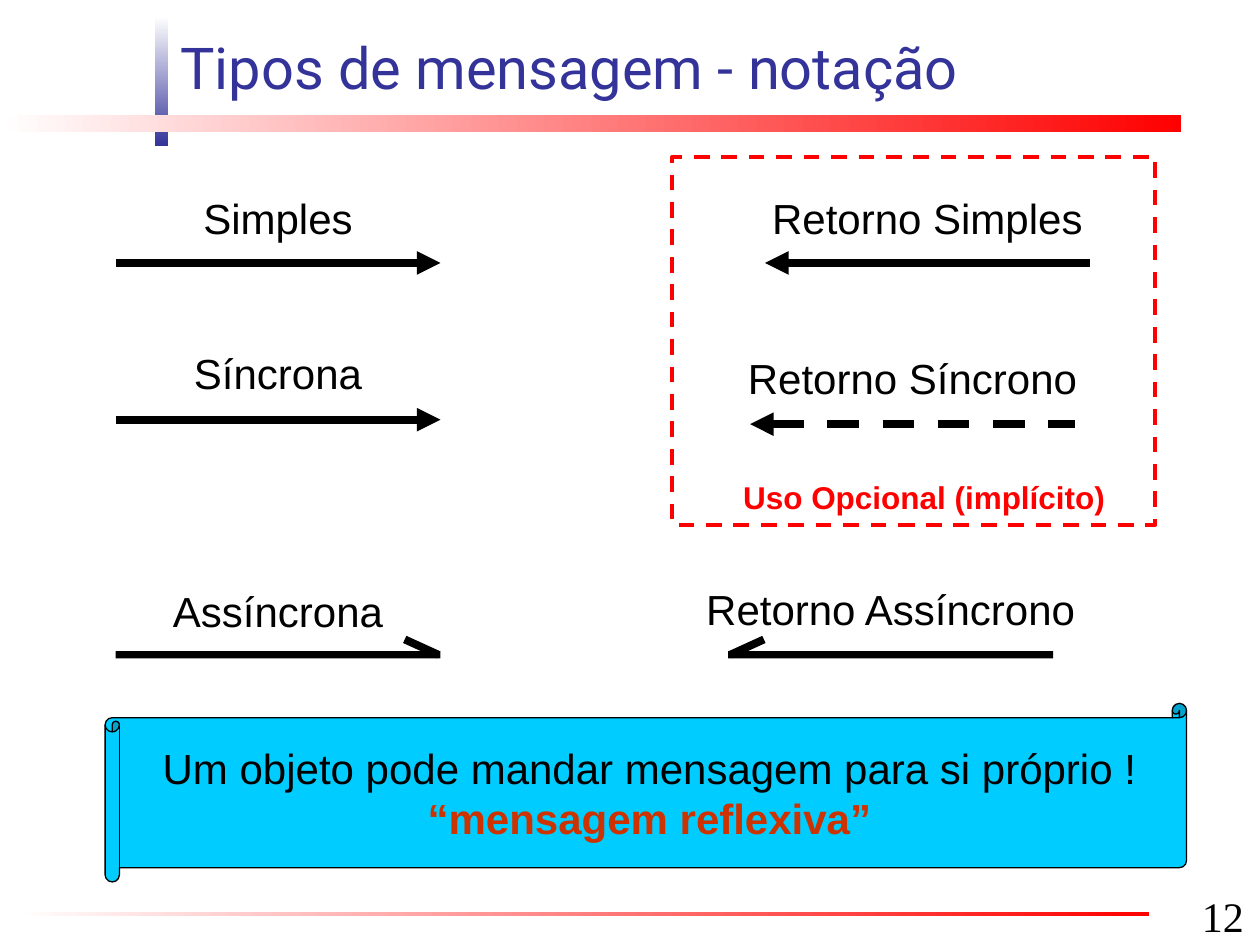
from dataclasses import dataclass

from lxml import etree
from pptx import Presentation, util as u
from pptx.dml.color import RGBColor
from pptx.enum import dml, shapes, text
from pptx.oxml.ns import qn

Cm, Pt = u.Cm, u.Pt
LENGTH = 6.55
BLACK, RED, BLUE, WHITE = "000000", "FF0000", "333399", "FFFFFF"


@dataclass
class Message:
    """A labelled arrow: left end and height of its line, then its label."""
    label: str
    x: float
    y: float
    label_top: float
    label_width: float
    returns: bool = False
    dashed: bool = False
    half_head: bool = False


MESSAGES = [
    Message("Simples", 2.33, 5.3, 3.76, 3.7),
    Message("Síncrona", 2.33, 8.46, 6.88, 4.1),
    Message("Assíncrona", 2.33, 13.2, 11.67, 4.9, half_head=True),
    Message("Retorno Simples", 15.42, 5.3, 3.76, 6.95, returns=True),
    Message("Retorno Síncrono", 15.12, 8.55, 6.99, 7.35, returns=True, dashed=True),
    Message("Retorno Assíncrono", 14.68, 13.2, 11.63, 8.2, returns=True, half_head=True),
]


def rgb(color: str) -> RGBColor:
    return RGBColor.from_string(color)


def style(p, size: float, color: str, font: str = "Arial", bold: bool = False) -> None:
    p.font.name, p.font.size, p.font.bold = font, Pt(size), bold
    p.font.color.rgb = rgb(color)


def add_shape(s, kind, x: float, y: float, w: float, h: float):
    """Add a shape without shadow or outline."""
    sp = s.shapes.add_shape(kind, Cm(x), Cm(y), Cm(w), Cm(h))
    sp.shadow.inherit = False
    sp.line.fill.background()
    return sp


def add_bar(s, x: float, y: float, w: float, h: float, color: str, angle: int = 0) -> None:
    """Add a bar that fades from white to the colour."""
    fill = add_shape(s, shapes.MSO_SHAPE.RECTANGLE, x, y, w, h).fill
    fill.gradient()
    fill.gradient_angle = angle
    for stop, stop_color in zip(fill.gradient_stops, (WHITE, color)):
        stop.color.rgb = rgb(stop_color)


def add_text(s, words: str, x: float, y: float, w: float, h: float, size: float,
             color: str = BLACK, font: str = "Arial", bold: bool = False,
             align=text.PP_ALIGN.LEFT, anchor=text.MSO_ANCHOR.TOP, wrap: bool = True) -> None:
    tf = s.shapes.add_textbox(Cm(x), Cm(y), Cm(w), Cm(h)).text_frame
    tf.word_wrap, tf.vertical_anchor = wrap, anchor
    p = tf.paragraphs[0]
    p.text, p.alignment = words, align
    style(p, size, color, font, bold)


def add_line(s, x1: float, y1: float, x2: float, y2: float):
    line = s.shapes.add_connector(shapes.MSO_CONNECTOR.STRAIGHT, Cm(x1), Cm(y1), Cm(x2), Cm(y2))
    line.line.color.rgb = rgb(BLACK)
    line.line.width = Pt(4.5)
    etree.SubElement(line._element.spPr, qn("a:effectLst"))
    return line


def add_half_arrow(s, m: Message) -> None:
    """Add a bar with a single barb above its tip."""
    thick = 0.15
    bar = add_shape(s, shapes.MSO_SHAPE.RECTANGLE, m.x, m.y - thick / 2, LENGTH, thick)
    bar.fill.solid()
    bar.fill.fore_color.rgb = rgb(BLACK)
    tip, back = (m.x, 1) if m.returns else (m.x + LENGTH, -1)
    add_line(s, tip + back * 0.72, m.y - 0.31, tip + back * 0.04, m.y)


def add_arrow(s, m: Message) -> None:
    line = add_line(s, m.x, m.y, m.x + LENGTH, m.y)
    if m.dashed:
        line.line.dash_style = dml.MSO_LINE.DASH
    end = "a:headEnd" if m.returns else "a:tailEnd"
    etree.SubElement(line.line._get_or_add_ln(), qn(end), type="triangle")


def add_message(s, m: Message) -> None:
    (add_half_arrow if m.half_head else add_arrow)(s, m)
    left = m.x + (LENGTH - m.label_width) / 2
    add_text(s, m.label, left, m.label_top, m.label_width, 1.27, 24,
             align=text.PP_ALIGN.CENTER, wrap=False)


def add_optional_frame(s) -> None:
    frame = add_shape(s, shapes.MSO_SHAPE.RECTANGLE, 13.55, 3.17, 9.74, 7.41)
    frame.fill.background()
    frame.line.color.rgb = rgb(RED)
    frame.line.width = Pt(2.25)
    frame.line.dash_style = dml.MSO_LINE.DASH
    add_text(s, "Uso Opcional (implícito)", 14.73, 9.52, 8.2, 1.02, 18, RED, bold=True,
             wrap=True)


def add_scroll(s) -> None:
    sp = add_shape(s, shapes.MSO_SHAPE.HORIZONTAL_SCROLL, 2.12, 14.18, 21.8, 3.6)
    sp.adjustments[0] = 0.08
    sp.fill.solid()
    sp.fill.fore_color.rgb = rgb("00CCFF")
    sp.line.color.rgb = rgb(BLACK)
    sp.line.width = Pt(0.75)
    tf = sp.text_frame
    tf.word_wrap, tf.vertical_anchor = False, text.MSO_ANCHOR.MIDDLE
    tf.text = "Um objeto pode mandar mensagem para si próprio !\n“mensagem reflexiva”"
    for p, color, bold in zip(tf.paragraphs, (BLACK, "CC3300"), (False, True)):
        p.alignment = text.PP_ALIGN.CENTER
        style(p, 24, color, bold=bold)


def main() -> None:
    prs = Presentation()
    prs.slide_width, prs.slide_height = Cm(25.4), Cm(19.05)
    s = prs.slides.add_slide(prs.slide_layouts[6])
    add_bar(s, 3.12, 0.33, 0.26, 2.62, BLUE, angle=270)
    add_bar(s, 0, 2.32, 23.81, 0.35, RED)
    add_bar(s, 0.3, 18.39, 22.86, 0.08, RED)
    bottom = text.MSO_ANCHOR.BOTTOM
    add_text(s, "12", 23.98, 17.82, 2.11, 1.27, 24, font="Times New Roman", anchor=bottom)
    add_text(s, "Tipos de mensagem - notação", 3.39, 0.45, 22.01, 1.72, 33, BLUE,
             font="Roboto", anchor=bottom)
    for message in MESSAGES:
        add_message(s, message)
    add_optional_frame(s)
    add_scroll(s)
    prs.save("out.pptx")


if __name__ == "__main__":
    main()
